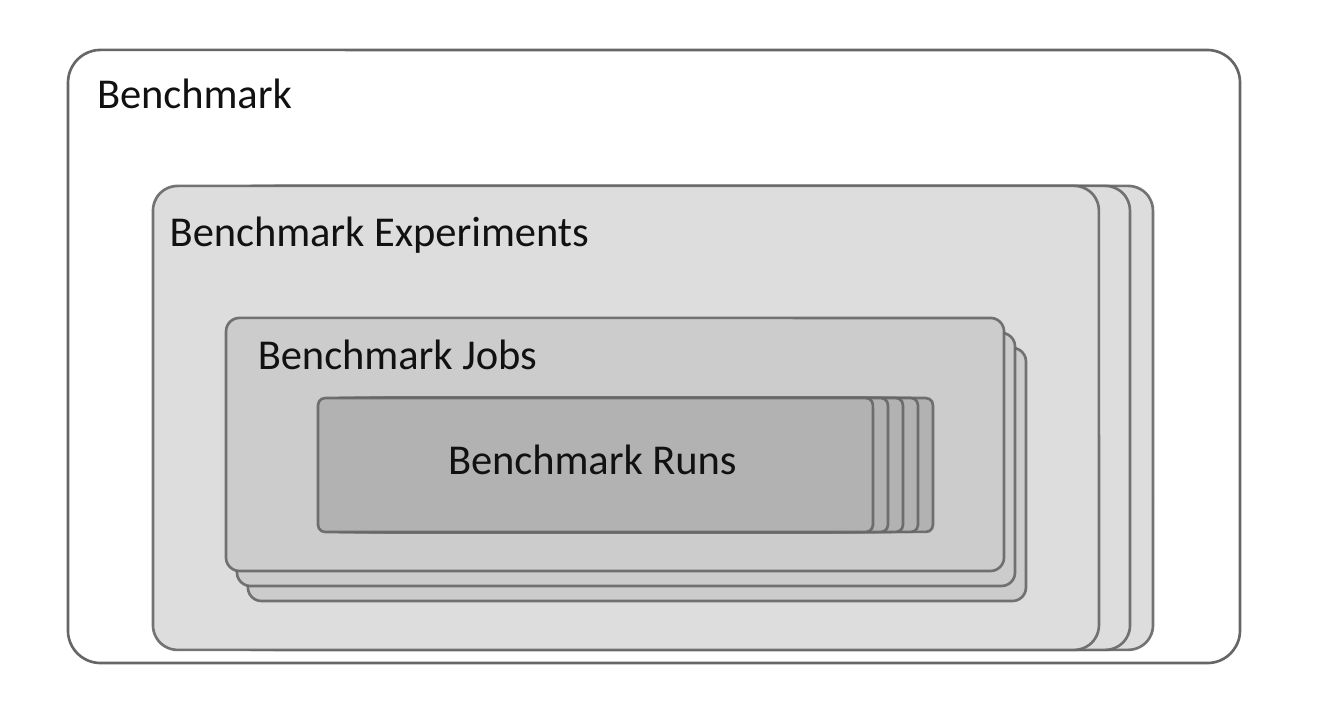
import dataclasses

import pptx
import pptx.dml.color
import pptx.enum.shapes
import pptx.enum.text
import pptx.oxml.ns
import pptx.slide
import pptx.util
from lxml import etree

SCALE = 914400 / 191.5  # EMU per px
GREY = "666666"
INK = "111111"


@dataclasses.dataclass
class Stack:
    """Equal cards; left and top belong to the front one."""
    left: int
    top: int
    width: int
    height: int
    fill: str
    count: int = 1
    dx: int = 0
    dy: int = 0
    alpha: int = 90


@dataclasses.dataclass
class Label:
    text: str
    left: int
    top: int
    width: int = 653
    height: int = 84


LEVELS = [
    (Stack(68, 50, 1172, 613, "FFFFFF", alpha=100),),
    (Stack(230, 186, 900, 464, "DDDDDD", 2, 23),
     Stack(153, 186, 946, 464, "DDDDDD")),
    (Stack(226, 318, 778, 253, "CCCCCC", 3, 11, 15),),
    (Stack(318, 398, 555, 134, "B2B2B2", 5, 15),),
]
LABELS = [
    Label("Benchmark", 2, 57, 385),
    Label("Benchmark Experiments", 53, 195),
    Label("Benchmark Jobs", 71, 318),
    Label("Benchmark Runs", 266, 423),
]


def px(size: int) -> pptx.util.Emu:
    return pptx.util.Emu(round(size * SCALE))


def rgb(code: str) -> pptx.dml.color.RGBColor:
    return pptx.dml.color.RGBColor.from_string(code)


def draw_card(slide: pptx.slide.Slide, stack: Stack, step: int) -> None:
    card = slide.shapes.add_shape(
        pptx.enum.shapes.MSO_SHAPE.ROUNDED_RECTANGLE,
        px(stack.left + step * stack.dx), px(stack.top + step * stack.dy),
        px(stack.width), px(stack.height))
    card.adjustments[0] = 0.053
    card.shadow.inherit = False
    card.fill.solid()
    card.fill.fore_color.rgb = rgb(stack.fill)
    card.line.color.rgb = rgb(GREY)
    card.line.width = pptx.util.Pt(1)
    if stack.alpha < 100:
        qn = pptx.oxml.ns.qn
        color = card.line._get_or_add_ln().find(".//" + qn("a:srgbClr"))
        etree.SubElement(color, qn("a:alpha"), val=str(stack.alpha * 1000))


def draw_stack(slide: pptx.slide.Slide, stack: Stack) -> None:
    for step in reversed(range(stack.count)):
        draw_card(slide, stack, step)


def draw_label(slide: pptx.slide.Slide, label: Label) -> None:
    box = slide.shapes.add_textbox(
        px(label.left), px(label.top), px(label.width), px(label.height))
    frame = box.text_frame
    frame.word_wrap = True
    frame.text = label.text
    line = frame.paragraphs[0]
    line.alignment = pptx.enum.text.PP_ALIGN.CENTER
    font = line.runs[0].font
    font.name = "Calibri"
    font.size = pptx.util.Pt(16)
    font.color.rgb = rgb(INK)


def main() -> None:
    deck = pptx.Presentation()
    deck.slide_width = px(1344)
    deck.slide_height = px(722)
    slide = deck.slides.add_slide(deck.slide_layouts[6])
    for stacks, label in zip(LEVELS, LABELS):
        for stack in stacks:
            draw_stack(slide, stack)
        draw_label(slide, label)
    deck.save("out.pptx")


if __name__ == "__main__":
    main()
